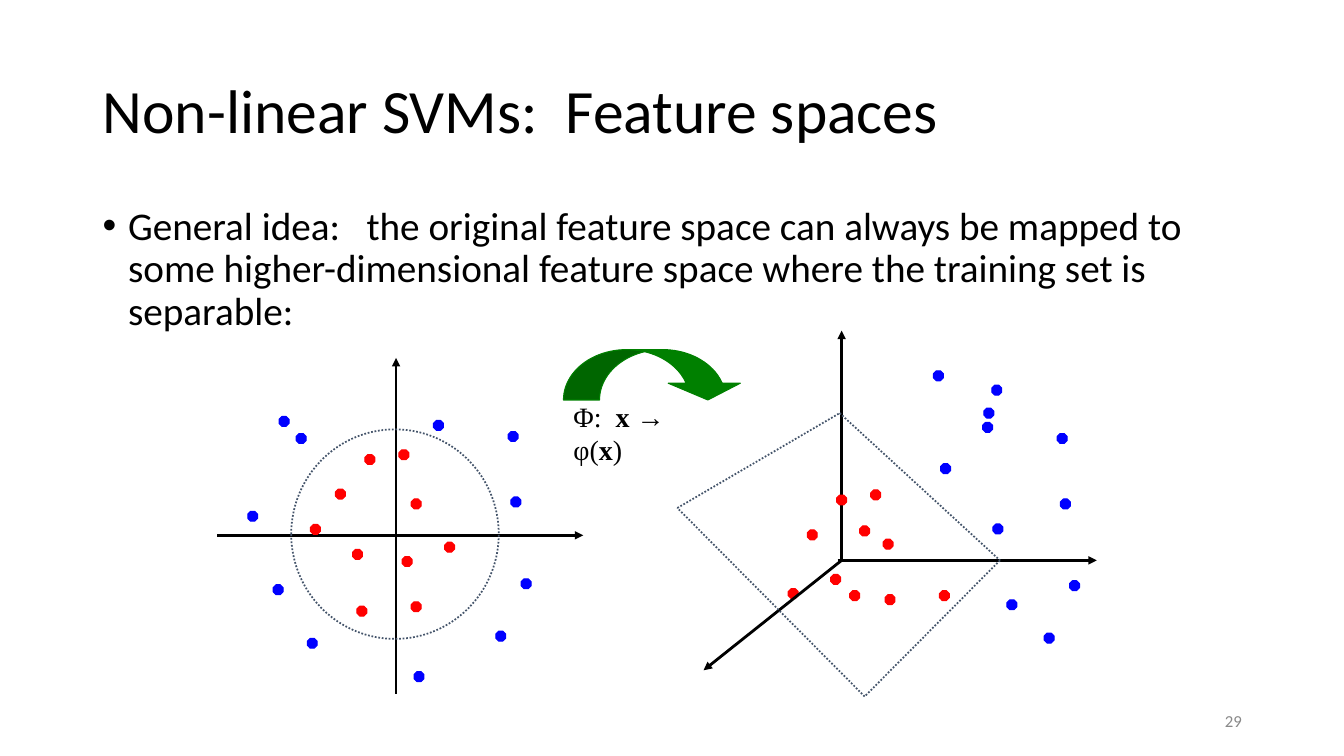
from dataclasses import dataclass
from itertools import pairwise

from lxml.etree import SubElement
from pptx import Presentation
from pptx.dml.color import RGBColor
from pptx.enum.dml import MSO_LINE
from pptx.enum.shapes import MSO_CONNECTOR, MSO_SHAPE
from pptx.enum.text import MSO_ANCHOR, PP_ALIGN
from pptx.oxml.ns import qn
from pptx.util import Cm, Pt


@dataclass(frozen=True)
class Theme:
    ink: RGBColor = RGBColor(0, 0, 0)
    muted: RGBColor = RGBColor(0x89, 0x89, 0x89)
    inner: RGBColor = RGBColor(0xFF, 0, 0)
    outer: RGBColor = RGBColor(0, 0, 0xFF)
    boundary: RGBColor = RGBColor(0x44, 0x54, 0x6A)
    mapping: RGBColor = RGBColor(0, 0x80, 0)
    sans: str = "Calibri"
    serif: str = "Times New Roman"
    title: int = 44
    body: int = 28
    formula: int = 20
    number: int = 12
    axis_width: float = 2
    boundary_width: float = 1.25
    edge_width: float = 0.75


THEME = Theme()
DOT = 0.25

# Points in cm from the crossing of the axes, y downwards
PLANE_INNER = [(0.2, -2.03), (-1.4, -1.04), (-0.97, 0.48), (0.51, 1.8), (-0.66, -1.91),
               (-2.03, -0.15), (-0.86, 1.91), (0.51, -0.79), (1.35, 0.3), (0.28, 0.66)]
PLANE_OUTER = [(3.02, -0.84), (2.64, 2.54), (-3.61, -0.48), (0.58, 3.56), (3.28, 1.22),
               (-2.11, 2.72), (-2.97, 1.37), (-2.82, -2.87), (1.07, -2.77),
               (-2.39, -2.44), (2.95, -2.49)]
SPACE_INNER = [(0.86, -1.65), (-0.74, -0.64), (0.33, 0.89), (2.59, 0.89), (0, -1.52),
               (0.58, -0.74), (1.22, 0.99), (1.17, -0.41), (-0.15, 0.48), (-1.22, 0.84)]
SPACE_OUTER = [(5.64, -1.42), (5.23, 1.96), (3.91, -4.29), (3.94, -0.79), (5.87, 0.64),
               (2.62, -2.31), (4.29, 1.12), (3.71, -3.71), (3.68, -3.35),
               (2.44, -4.65), (5.56, -3.07)]
SEPARATING_PLANE = [(-0.05, -3.71), (3.99, 0), (0.58, 3.43), (-4.14, -1.32)]


def add_text(slide, box, text, size, color=THEME.ink, anchor=MSO_ANCHOR.TOP):
    frame = slide.shapes.add_textbox(*map(Cm, box)).text_frame
    frame.word_wrap = True
    frame.vertical_anchor = anchor
    frame.text = text
    paragraph = frame.paragraphs[0]
    font = paragraph.runs[0].font
    font.name, font.size, font.color.rgb = THEME.sans, Pt(size), color
    return paragraph


def add_line(slide, origin, start, end, color, width):
    ends = [Cm(o + d) for point in (start, end) for o, d in zip(origin, point)]
    line = slide.shapes.add_connector(MSO_CONNECTOR.STRAIGHT, *ends)
    line.line.color.rgb, line.line.width = color, Pt(width)
    properties = line._element.spPr
    SubElement(properties, qn("a:effectLst"))
    return line


def add_axis(slide, origin, start, end):
    axis = add_line(slide, origin, start, end, THEME.ink, THEME.axis_width)
    SubElement(axis.line._get_or_add_ln(), qn("a:tailEnd"), type="triangle")


def add_filled(slide, kind, box, color):
    shape = slide.shapes.add_shape(kind, *map(Cm, box))
    shape.shadow.inherit = False
    shape.fill.solid()
    shape.fill.fore_color.rgb = shape.line.color.rgb = color
    shape.line.width = Pt(THEME.edge_width)
    return shape


def add_dots(slide, origin, points, color):
    for x, y in points:
        corner = origin[0] + x - DOT / 2, origin[1] + y - DOT / 2
        add_filled(slide, MSO_SHAPE.OCTAGON, (*corner, DOT, DOT), color)


def add_heading(slide, box):
    title = add_text(slide, box, "Non-linear SVMs:  Feature spaces", THEME.title,
                     anchor=MSO_ANCHOR.MIDDLE)
    title.line_spacing = 0.9


def add_idea(slide, box):
    idea = add_text(slide, box, "General idea:   the original feature space can always be "
                    "mapped to some higher-dimensional feature space where the training "
                    "set is separable:", THEME.body)
    idea.line_spacing = 0.9
    properties = idea._p.get_or_add_pPr()
    indent = Cm(0.64)
    properties.set("marL", str(indent))
    properties.set("indent", str(-indent))
    SubElement(properties, qn("a:buFont"), typeface="Arial")
    SubElement(properties, qn("a:buChar"), char="•")


def add_original_space(slide, box):
    left, top, width, height = box
    origin = across, down = left + 4.5, top + 4.47
    add_axis(slide, origin, (0, top + height - down), (0, top - down))
    add_axis(slide, origin, (left - across, 0), (left + width - across, 0))
    add_dots(slide, origin, PLANE_INNER, THEME.inner)
    add_dots(slide, origin, PLANE_OUTER, THEME.outer)
    # Circular class boundary
    circle = slide.shapes.add_shape(MSO_SHAPE.OVAL, Cm(across - 2.64), Cm(down - 2.67),
                                    Cm(5.23), Cm(5.28))
    circle.shadow.inherit = False
    circle.fill.background()
    circle.line.color.rgb = THEME.boundary
    circle.line.width = Pt(THEME.boundary_width)
    circle.line.dash_style = MSO_LINE.ROUND_DOT


def add_mapped_space(slide, box):
    left, top, width, height = box
    origin = across, down = left + 4.17, top + 5.79
    add_axis(slide, origin, (0, 0), (0, top - down))
    add_axis(slide, origin, (-0.1, 0), (left + width - across, 0))
    add_dots(slide, origin, SPACE_INNER, THEME.inner)
    add_dots(slide, origin, SPACE_OUTER, THEME.outer)
    add_axis(slide, origin, (0, 0), (-3.48, 2.77))
    # Separating plane
    for start, end in pairwise(SEPARATING_PLANE + SEPARATING_PLANE[:1]):
        edge = add_line(slide, origin, start, end, THEME.boundary, THEME.boundary_width)
        edge.line.dash_style = MSO_LINE.ROUND_DOT


def add_mapping(slide, box):
    left, top, width, height = box
    arrow = add_filled(slide, MSO_SHAPE.CURVED_DOWN_ARROW, (left, top, width, 1.27),
                       THEME.mapping)
    for index, value in enumerate((0.717, 1.433, 0.333)):
        arrow.adjustments[index] = value
    # Formula under the arrow
    formula = add_text(slide, (left, top + 1.12, 4.19, height - 1.12), "Φ:  ", THEME.formula)
    for text in ("x → ", "φ(", "x", ")"):
        formula.add_run().text = text
    for run in formula.runs:
        font = run.font
        font.name, font.size, font.color.rgb = THEME.serif, Pt(THEME.formula), THEME.ink
        font.bold = run.text.startswith("x")


def add_slide_number(slide, box):
    number = add_text(slide, box, "29", THEME.number, THEME.muted, MSO_ANCHOR.MIDDLE)
    number.alignment = PP_ALIGN.RIGHT


def main():
    deck = Presentation()
    deck.slide_width, deck.slide_height = Cm(33.87), Cm(19.05)
    slide = deck.slides.add_slide(deck.slide_layouts[6])
    add_slide_number(slide, (23.93, 17.65, 7.62, 1.02))
    add_heading(slide, (2.34, 1.02, 29.21, 3.68))
    add_idea(slide, (2.34, 5.08, 29.21, 12.09))
    add_original_space(slide, (5.48, 9.02, 9.22, 8.46))
    add_mapped_space(slide, (17.04, 8.33, 10.6, 9.24))
    add_mapping(slide, (14.2, 8.81, 4.55, 2.21))
    deck.save("out.pptx")


if __name__ == "__main__":
    main()
